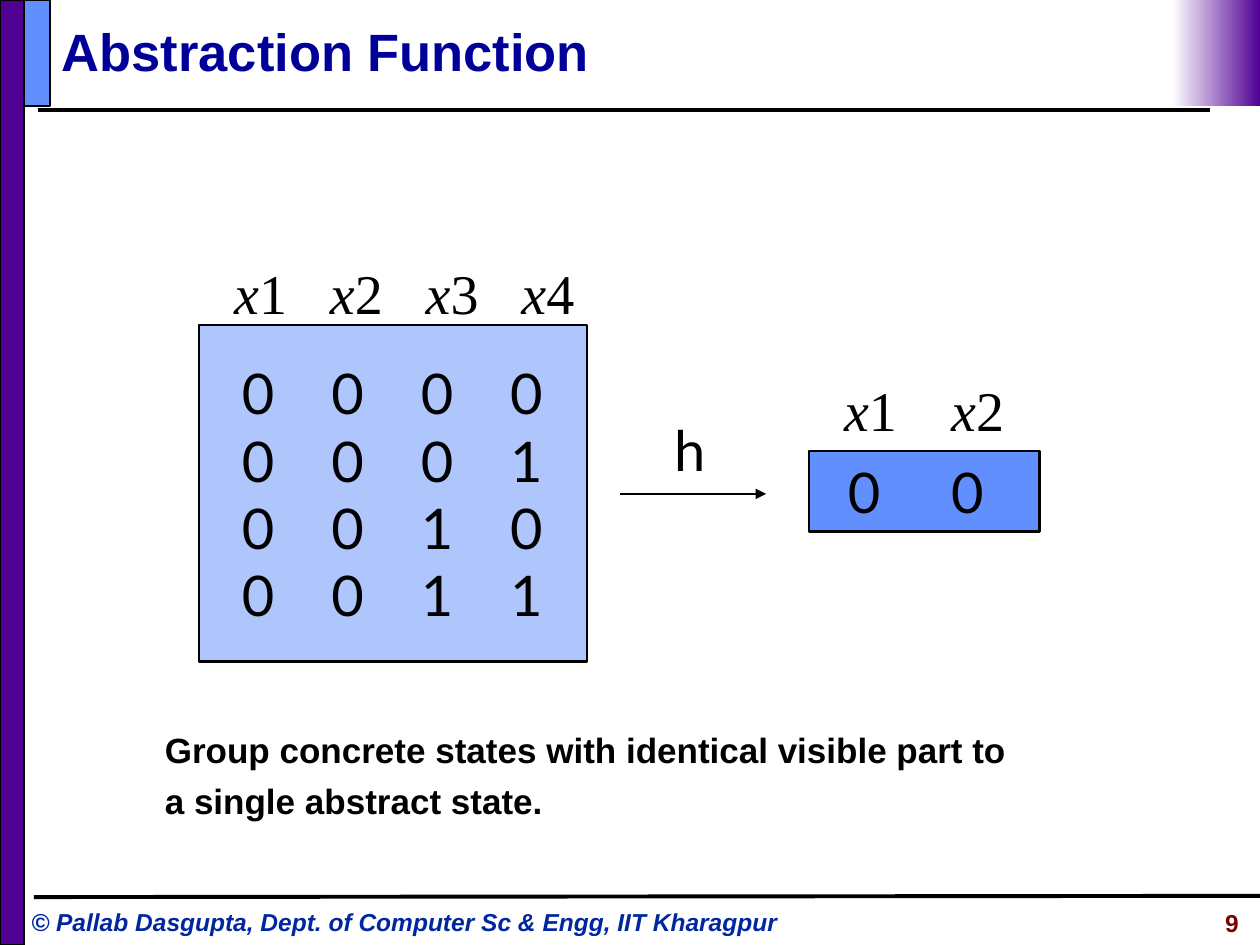
from lxml.etree import SubElement
from pptx import Presentation
from pptx.dml.color import RGBColor
from pptx.enum.shapes import MSO_CONNECTOR as Connector, MSO_SHAPE as Shape
from pptx.enum.text import MSO_ANCHOR as Anchor, MSO_AUTO_SIZE as AutoSize, PP_ALIGN as Align
from pptx.oxml.ns import qn
from pptx.util import Inches, Pt

BLACK, BLUE, PURPLE, WHITE = "000000", "618FFD", "500093", "FFFFFF"
TITLE = "Abstraction Function"
FOOTER = "© Pallab Dasgupta, Dept. of Computer Sc & Engg, IIT Kharagpur"
CAPTION = "Group concrete states with identical visible part to a single abstract state."
CONCRETE_NAMES, ABSTRACT_NAMES = ["x1", "x2", "x3", "x4"], ["x1", "x2"]
CONCRETE_STATES = ["0000", "0001", "0010", "0011"]
ABSTRACT_STATES = ["00"]
RULES = [((0.3, 0.87), (9.6, 0.87)), ((0.27, 7.12), (10, 7.11))]
ARROW = ((4.92, 3.92), (6.08, 3.92))


def color(value):
    """Turn a hex string into a colour."""
    return RGBColor.from_string(value)


def add_rectangle(page, place, fill=None, width=None, alpha=None):
    """Add a rectangle, outlined in black when a line width is given."""
    box = page.shapes.add_shape(Shape.RECTANGLE, *map(Inches, place))
    box.shadow.inherit = False
    if fill:
        box.fill.solid()
        box.fill.fore_color.rgb = color(fill)
    if alpha:
        tint = box.fill._xPr.find(qn("a:solidFill"))[0]
        SubElement(tint, qn("a:alpha"), val=str(alpha * 1000))
    if width:
        box.line.color.rgb = color(BLACK)
        box.line.width = Pt(width)
    else:
        box.line.fill.background()
    return box


def add_line(page, start, end, width, arrow=False):
    """Add a straight black line, with an optional arrowhead."""
    line = page.shapes.add_connector(Connector.STRAIGHT, *map(Inches, start + end))
    line.line.color.rgb = color(BLACK)
    line.line.width = Pt(width)
    if arrow:
        SubElement(line.line._get_or_add_ln(), qn("a:tailEnd"), type="triangle")
    SubElement(line._element.spPr, qn("a:effectLst"))


def add_box(page, place):
    """Add an empty text box."""
    return page.shapes.add_textbox(*map(Inches, place))


def write(box, rows, size, font="Arial", ink=BLACK, bold=False, italic=False,
          align=Align.LEFT, anchor=Anchor.TOP, wrap=True, spacing=None, stops=()):
    """Write rows, each a string or a list of (text, italic) spans, into a box."""
    frame = box.text_frame
    frame.auto_size = AutoSize.NONE
    frame.word_wrap = wrap
    frame.vertical_anchor = anchor
    for index, row in enumerate(rows):
        para = frame.add_paragraph() if index else frame.paragraphs[0]
        if stops:
            tabs = SubElement(para._p.get_or_add_pPr(), qn("a:tabLst"))
            for stop in stops:
                SubElement(tabs, qn("a:tab"), pos=str(Inches(stop)), algn="ctr")
        para.alignment = align
        if spacing:
            para.line_spacing = spacing
        for text, slanted in [(row, italic)] if isinstance(row, str) else row:
            span = para.add_run()
            span.text = text
            span.font.name, span.font.size = font, Pt(size)
            span.font.bold, span.font.italic = bold, slanted
            span.font.color.rgb = color(ink)


def columns(first, pitch, count):
    """Give evenly spaced tab stops."""
    return [first + pitch * index for index in range(count)]


def write_states(box, states, first, pitch, anchor):
    """Write each state as one row of tabbed bits."""
    rows = ["".join("\t" + bit for bit in state) for state in states]
    write(box, rows, 32, "Lato", anchor=anchor, stops=columns(first, pitch, len(states[0])))


def write_names(box, names, first, pitch):
    """Write variable names in one tabbed row with slanted letters."""
    spans = [span for name in names
             for span in (("\t", False), (name[0], True), (name[1:], False))]
    write(box, [spans], 32, "Times New Roman", stops=columns(first, pitch, len(names)))


def add_frame(page):
    """Add the bars, rules, title, footer and page number."""
    add_rectangle(page, (0, 0, 0.19, 7.5), PURPLE, 1)
    add_rectangle(page, (0.19, 0, 0.21, 0.84), BLUE, 1)
    fade = add_rectangle(page, (9.3, 0, 0.7, 0.84))
    fade.fill.gradient()
    fade.fill.gradient_angle = 180
    for stop, shade in zip(fade.fill.gradient_stops, (PURPLE, WHITE)):
        stop.color.rgb = color(shade)
    for start, end in RULES:
        add_line(page, start, end, 2.25)
    title = page.shapes.title
    title.left, title.top, title.width, title.height = map(Inches, (0.39, 0.1, 9.1, 0.61))
    write(title, [TITLE], 30, ink="000099", bold=True, anchor=Anchor.MIDDLE)
    write(add_box(page, (0.15, 7.15, 6.37, 0.34)), [FOOTER], 14,
          ink="00279F", bold=True, italic=True)
    write(add_box(page, (8.18, 7.16, 1.75, 0.35)), ["9"], 14,
          ink="800000", bold=True, align=Align.RIGHT)


def add_mapping(page):
    """Add the concrete states, the mapping arrow and the abstract state."""
    abstract = add_rectangle(page, (6.42, 3.58, 1.83, 0.64), BLUE, 1.5)
    write_states(abstract, ABSTRACT_STATES, 0.34, 0.82, Anchor.TOP)
    concrete = add_rectangle(page, (1.58, 2.58, 3.08, 2.67), BLUE, 1.5, alpha=50)
    write_states(concrete, CONCRETE_STATES, 0.37, 0.71, Anchor.MIDDLE)
    add_line(page, *ARROW, 1.5, arrow=True)
    write(add_box(page, (5.24, 3.25, 0.47, 0.64)), ["h"], 32, "Lato",
          align=Align.CENTER, wrap=False)
    write_names(add_box(page, (1.42, 2, 3.58, 0.64)), CONCRETE_NAMES, 0.55, 0.76)
    write_names(add_box(page, (6.6, 2.93, 1.48, 0.64)), ABSTRACT_NAMES, 0.2, 0.86)
    write(add_box(page, (1.21, 5.67, 7.11, 0.9)), [CAPTION], 20, bold=True, spacing=1.2)


def main():
    """Build and save the slide."""
    deck = Presentation()
    deck.slide_width, deck.slide_height = Inches(10), Inches(7.5)
    page = deck.slides.add_slide(deck.slide_layouts[5])
    add_frame(page)
    add_mapping(page)
    deck.save("out.pptx")


if __name__ == "__main__":
    main()
